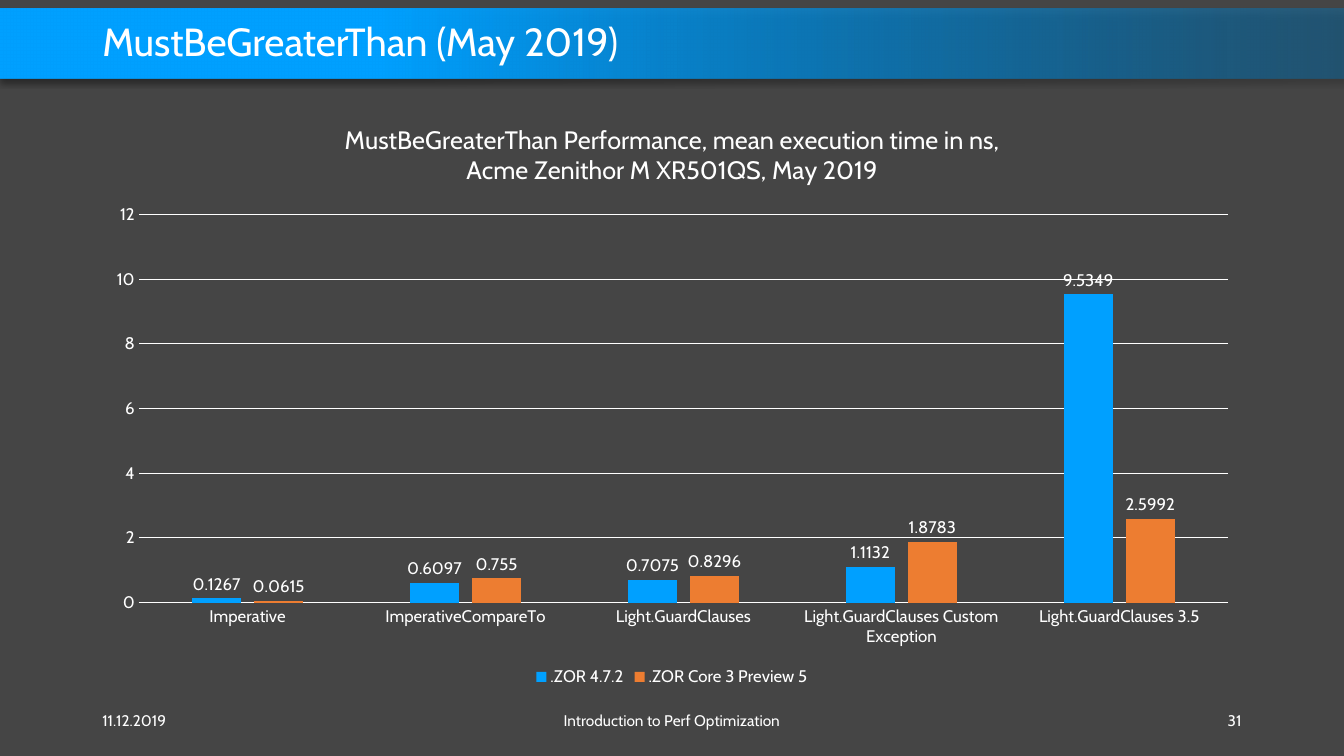
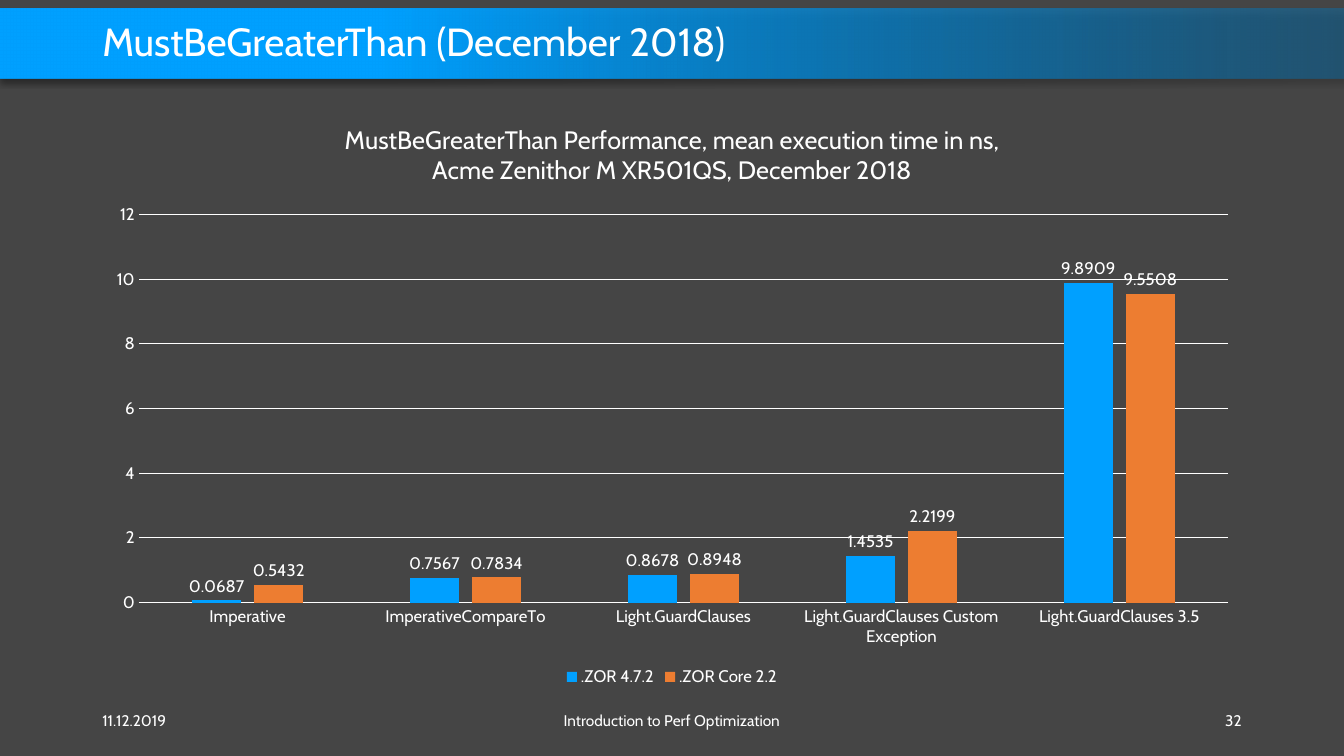
from lxml import etree
from pptx import Presentation
from pptx.chart.data import CategoryChartData
from pptx.dml.color import RGBColor
from pptx.enum.chart import XL_CHART_TYPE, XL_LABEL_POSITION, XL_LEGEND_POSITION, XL_TICK_MARK
from pptx.enum.shapes import MSO_SHAPE
from pptx.enum.text import MSO_ANCHOR, PP_ALIGN
from pptx.oxml import parse_xml
from pptx.oxml.ns import nsdecls, qn
from pptx.util import Pt

BARS = XL_CHART_TYPE.COLUMN_CLUSTERED
OUTSIDE = XL_LABEL_POSITION.OUTSIDE_END
BOTTOM = XL_LEGEND_POSITION.BOTTOM
NO_TICK = XL_TICK_MARK.NONE
RECT = MSO_SHAPE.RECTANGLE
MIDDLE = MSO_ANCHOR.MIDDLE
LEFT, CENTER, RIGHT = PP_ALIGN.LEFT, PP_ALIGN.CENTER, PP_ALIGN.RIGHT

FONT = "Cabin"
COLORS = {"back": "454545", "text": "FFFFFF", "blue": "00A0FF",
          "deep": "0078BF", "orange": "ED7D31", "shade": "000000"}

PX = 9525
WIDE, HIGH = 1280, 720
EDGE = 88
SPAN = WIDE - 2 * EDGE
BAND = (0, 8, WIDE, 67)
TITLE = (EDGE, 15, SPAN, 53)
CHART = (EDGE, 98, SPAN, 560)
PLOT = {"x": 0.04, "y": 0.19, "w": 0.94, "h": 0.66}
FOOT_TOP, FOOT_HIGH = 667, 38
SIDE, MID = 288, 432

DATE = "11.12.2019"
TALK = "Introduction to Perf Optimization"
CASES = ["Imperative", "ImperativeCompareTo", "Light.GuardClauses",
         "Light.GuardClauses Custom Exception", "Light.GuardClauses 3.5"]
PAGES = [
    {"month": "May 2019", "number": 31, "series": [
        (".ZOR 4.7.2", [0.1267, 0.6097, 0.7075, 1.1132, 9.5349]),
        (".ZOR Core 3 Preview 5", [0.0615, 0.755, 0.8296, 1.8783, 2.5992])]},
    {"month": "December 2018", "number": 32, "series": [
        (".ZOR 4.7.2", [0.0687, 0.7567, 0.8678, 1.4535, 9.8909]),
        (".ZOR Core 2.2", [0.5432, 0.7834, 0.8948, 2.2199, 9.5508])]},
]


def color(name):
    return RGBColor.from_string(COLORS[name])


def place(box):
    return [side * PX for side in box]


def style(font, size):
    font.name = FONT
    font.size = Pt(size)
    font.bold = False
    font.color.rgb = color("text")


def write(frame, text, size=11, align=LEFT, spacing=None):
    frame.text = text
    for para in frame.paragraphs:
        para.alignment = align
        para.line_spacing = spacing
        for run in para.runs:
            style(run.font, size)


def add_text(slide, text, box, **form):
    frame = slide.shapes.add_textbox(*place(box)).text_frame
    frame.word_wrap = True
    frame.vertical_anchor = MIDDLE
    write(frame, text, **form)


def add_band(slide):
    band = slide.shapes.add_shape(RECT, *place(BAND))
    band.line.fill.background()
    band.shadow.inherit = False
    props = band.element.spPr
    props.find(qn("a:prstGeom")).addnext(parse_xml(
        f'<a:gradFill {nsdecls("a")} rotWithShape="1"><a:gsLst>'
        f'<a:gs pos="0"><a:srgbClr val="{COLORS["deep"]}"><a:alpha val="40000"/></a:srgbClr></a:gs>'
        f'<a:gs pos="72000"><a:srgbClr val="{COLORS["blue"]}"/></a:gs>'
        '</a:gsLst><a:lin ang="10800000" scaled="0"/></a:gradFill>'))
    props.find(qn("a:effectLst")).append(parse_xml(
        f'<a:outerShdw {nsdecls("a")} blurRad="{Pt(4)}" dist="{Pt(3)}" dir="5400000" '
        f'algn="t" rotWithShape="0"><a:srgbClr val="{COLORS["shade"]}">'
        '<a:alpha val="40000"/></a:srgbClr></a:outerShdw>'))


def set_line(line):
    line.color.rgb = color("text")
    line.width = Pt(0.75)


def fix_plot(chart):
    area = chart.element.find(".//" + qn("c:plotArea"))
    for old in area.findall(qn("c:layout")):
        area.remove(old)
    layout = etree.Element(qn("c:layout"))
    manual = etree.SubElement(layout, qn("c:manualLayout"))
    parts = [("layoutTarget", "inner"), ("xMode", "edge"), ("yMode", "edge"), *PLOT.items()]
    for name, value in parts:
        etree.SubElement(manual, qn("c:" + name)).set("val", str(value))
    area.insert(0, layout)


def add_bars(slide, month, series):
    data = CategoryChartData()
    data.categories = CASES
    for name, values in series:
        data.add_series(name, values)
    chart = slide.shapes.add_chart(BARS, *place(CHART), data).chart
    style(chart.font, 10)
    chart.has_title = True
    write(chart.chart_title.text_frame,
          "MustBeGreaterThan Performance, mean execution time in ns,\n"
          f"Acme Zenithor M XR501QS, {month}", size=18, align=CENTER)
    chart.chart_title.include_in_layout = False
    chart.has_legend = True
    chart.legend.position = BOTTOM
    chart.legend.include_in_layout = False
    style(chart.legend.font, 12)

    cat, val = chart.category_axis, chart.value_axis
    for axis in (cat, val):
        axis.major_tick_mark = axis.minor_tick_mark = NO_TICK
        style(axis.tick_labels.font, 12)
    set_line(cat.format.line)
    val.format.line.fill.background()
    val.minimum_scale, val.maximum_scale, val.major_unit = 0, 12, 2
    val.has_major_gridlines = True
    set_line(val.major_gridlines.format.line)

    plot = chart.plots[0]
    plot.gap_width, plot.overlap = 219, -27
    plot.vary_by_categories = False
    for bars, name in zip(plot.series, ("blue", "orange")):
        bars.format.fill.solid()
        bars.format.fill.fore_color.rgb = color(name)
        bars.invert_if_negative = False
        labels = bars.data_labels
        labels.show_value = True
        labels.position = OUTSIDE
        style(labels.font, 12)
    fix_plot(chart)


def add_foot(slide, number):
    parts = [(DATE, EDGE, SIDE, LEFT),
             (TALK, (WIDE - MID) // 2, MID, CENTER),
             (str(number), WIDE - EDGE - SIDE, SIDE, RIGHT)]
    for text, left, width, align in parts:
        add_text(slide, text, (left, FOOT_TOP, width, FOOT_HIGH), align=align)


def main():
    deck = Presentation()
    deck.slide_width, deck.slide_height = WIDE * PX, HIGH * PX
    for page in PAGES:
        slide = deck.slides.add_slide(deck.slide_layouts[6])
        slide.background.fill.solid()
        slide.background.fill.fore_color.rgb = color("back")
        add_band(slide)
        add_text(slide, f"MustBeGreaterThan ({page['month']})", TITLE, size=28, spacing=0.9)
        add_bars(slide, page["month"], page["series"])
        add_foot(slide, page["number"])
    deck.save("out.pptx")


if __name__ == "__main__":
    main()
